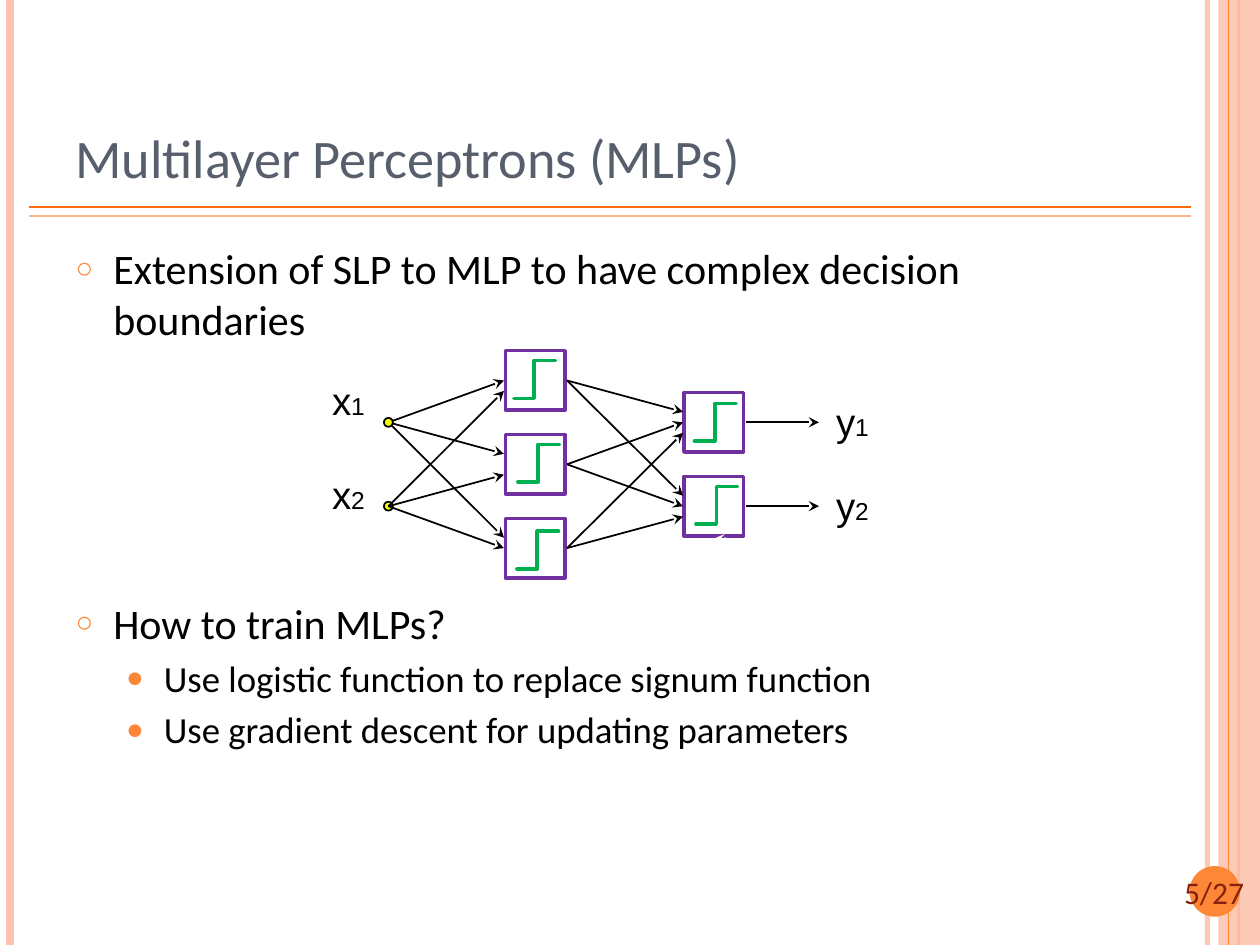
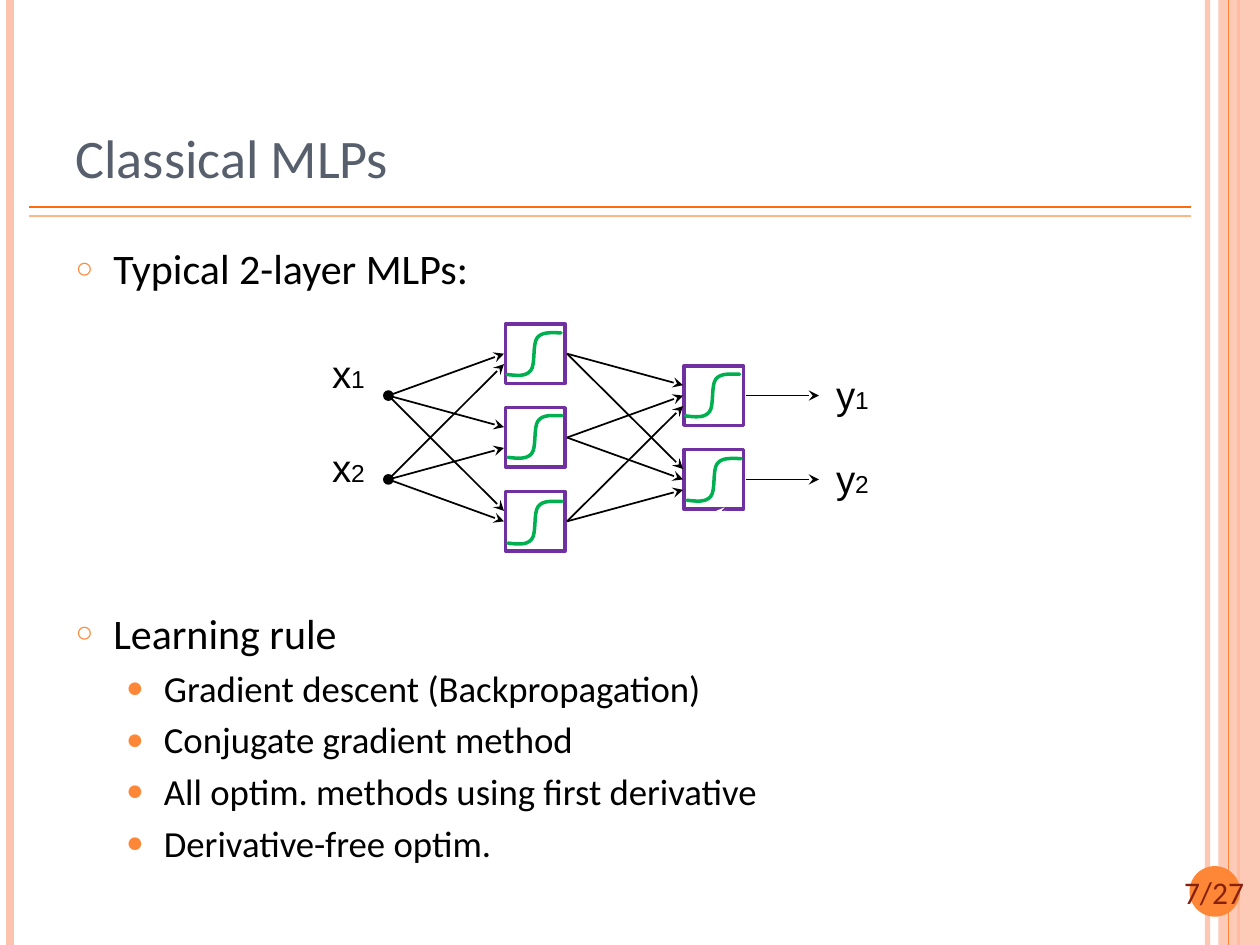
"""Build two slides on multilayer perceptrons with their network diagrams."""
from lxml import etree
from pptx import Presentation
from pptx.dml.color import RGBColor
from pptx.enum.shapes import MSO_CONNECTOR, MSO_SHAPE
from pptx.enum.text import MSO_ANCHOR, MSO_AUTO_SIZE, PP_ALIGN
from pptx.oxml.ns import qn
from pptx.util import Cm, Pt

STRAIGHT = MSO_CONNECTOR.STRAIGHT
RECT, OVAL = MSO_SHAPE.RECTANGLE, MSO_SHAPE.OVAL
LEFT, CENTER = PP_ALIGN.LEFT, PP_ALIGN.CENTER
TOP, BOTTOM = MSO_ANCHOR.TOP, MSO_ANCHOR.BOTTOM
NO_FIT = MSO_AUTO_SIZE.NONE

BLACK = RGBColor(0x00, 0x00, 0x00)
WHITE = RGBColor(0xFF, 0xFF, 0xFF)
YELLOW = RGBColor(0xFA, 0xFD, 0x00)
PEACH = RGBColor(0xFE, 0xC3, 0xAE)
ORANGE = RGBColor(0xFE, 0x86, 0x37)
DEEP_ORANGE = RGBColor(0xFF, 0x6B, 0x0A)
LIGHT_ORANGE = RGBColor(0xFE, 0xB6, 0x87)
BROWN = RGBColor(0x86, 0x21, 0x10)
SLATE = RGBColor(0x57, 0x5F, 0x6D)
PURPLE = RGBColor(0x70, 0x30, 0xA0)
GREEN = RGBColor(0x00, 0xB0, 0x50)

BULLETS = [
    {"char": "○", "pct": 70, "margin": 0.76, "size": 24},
    {"char": "●", "pct": 80, "margin": 1.78, "size": 21},
]

STEP = [(0, 0.76), (0.41, 0.76), (0.41, 0), (0.84, 0)]
SIGMOID = [(0, 0.84), (0.18, 0.86), (0.38, 0.89), (0.48, 0.76), (0.58, 0.64),
           (0.51, 0.23), (0.61, 0.1), (0.71, -0.03), (0.91, 0), (1.09, 0)]
ARC = [(1.69, 1.48), (0.76, 1.48), (0, 0.82), (0, 0)]

NODE, PITCH, PORT = 1.2, 1.69, 0.21
HIDDEN_X, OUTPUT_X, INPUT_X = 10.19, 13.79, 7.83
INPUT_PORTS = [(0, -1, -1), (1, 1, 0)]
LABELS = [("x", "1", 6.43, -1.6), ("x", "2", 6.43, 0.3),
          ("y", "1", 16.59, -1.17), ("y", "2", 16.59, 0.53)]

SLIDES = [
    {"title": "Multilayer Perceptrons (MLPs)", "number": "5/27", "gap": 145,
     "title_width": 20.75, "body_width": 21.23,
     "middle": 9.36, "dot": YELLOW, "curve": STEP, "smooth": False,
     "insets": [(0.17, 0.2), (0.25, 0.2), (0.23, 0.26), (0.21, 0.22), (0.24, 0.2)],
     "body": [(0, "Extension of SLP to MLP to have complex decision boundaries"),
              (0, "How to train MLPs?"),
              (1, "Use logistic function to replace signum function"),
              (1, "Use gradient descent for updating parameters")]},
    {"title": "Classical MLPs", "number": "7/27", "gap": 179.5,
     "title_width": 21.95, "body_width": 20.75,
     "middle": 8.82, "dot": BLACK, "curve": SIGMOID, "smooth": True,
     "insets": [(0.03, 0.18), (0.05, 0.16), (0.05, 0.2), (0.03, 0.17), (0.06, 0.18)],
     "body": [(0, "Typical 2-layer MLPs:"),
              (0, "Learning rule"),
              (1, "Gradient descent (Backpropagation)"),
              (1, "Conjugate gradient method"),
              (1, "All optim. methods using first derivative"),
              (1, "Derivative-free optim.")]},
]


def add_line(s, x1, y1, x2, y2, color=BLACK, width=1, arrow=True):
    line = s.shapes.add_connector(STRAIGHT, Cm(x1), Cm(y1), Cm(x2), Cm(y2))
    line.line.color.rgb = color
    line.line.width = Pt(width)
    if arrow:
        etree.SubElement(line.line._get_or_add_ln(), qn("a:tailEnd"), type="stealth")
    etree.SubElement(line._element.spPr, qn("a:effectLst"))
    return line


def add_curve(s, x, y, offsets, color, smooth):
    points = [(Cm(x + dx), Cm(y + dy)) for dx, dy in offsets]
    builder = s.shapes.build_freeform(*points[0])
    builder.add_line_segments(points[1:], close=False)
    sp = builder.convert_to_shape()
    sp.shadow.inherit = False
    sp.fill.background()
    sp.line.color.rgb = color
    sp.line.width = Pt(2)
    if smooth:
        outline = next(sp._element.iter(qn("a:path")))
        segments = outline.findall(qn("a:lnTo"))
        for k in range(0, len(segments), 3):
            bezier = etree.SubElement(outline, qn("a:cubicBezTo"))
            for segment in segments[k:k + 3]:
                bezier.append(segment[0])
                outline.remove(segment)
    return sp


prs = Presentation()
prs.slide_width, prs.slide_height = Cm(25.4), Cm(19.05)
layout = prs.slide_layouts[1]
slides = [prs.slides.add_slide(layout) for row in SLIDES]

s = slides[0]
right_rule = add_line(s, 24.34, 0, 24.34, 19.05, PEACH, 3, False)
left_rule = add_line(s, 0.21, 0, 0.21, 19.05, PEACH, 4.5, False)
edge_rule = add_line(s, 24.97, 0, 24.97, 19.05, ORANGE, 1.5, False)
band = s.shapes.add_shape(RECT, Cm(24.56), 0, Cm(0.84), Cm(19.05))
band_rule = add_line(s, 24.77, 0, 24.77, 19.05, ORANGE, 0.75, False)
title_rule = add_line(s, 0.59, 4.17, 24.01, 4.17, DEEP_ORANGE, 1, False)
lower_rule = add_line(s, 0.59, 4.36, 24.01, 4.36, LIGHT_ORANGE, 1, False)
badge = s.shapes.add_shape(OVAL, Cm(23.98), Cm(17.46), Cm(1.02), Cm(1.02))
for sp, color in ((band, PEACH), (badge, ORANGE)):
    sp.shadow.inherit = False
    sp.fill.solid()
    sp.fill.fore_color.rgb = color
    sp.line.fill.background()
for sp, percent in ((right_rule, 93), (band, 87)):
    clr = next(sp._element.spPr.iter(qn("a:srgbClr")))
    etree.SubElement(clr, qn("a:alpha"), val=str(percent * 1000))
shared = [right_rule, left_rule, edge_rule, band, band_rule, title_rule, lower_rule, badge]
for i, sp in enumerate(shared):
    next(sp._element.iter(qn("p:cNvPr"))).set("id", str(20 + i))
    layout.shapes._spTree.append(sp._element)

for s, row in zip(slides, SLIDES):
    number = s.shapes.add_textbox(Cm(23.55), Cm(17.48), Cm(1.85), Cm(1.02))
    tf = number.text_frame
    tf.margin_left = tf.margin_right = 0
    tf.word_wrap = True
    p = tf.paragraphs[0]
    p.text = row["number"]
    p.alignment = CENTER
    font = p.runs[0].font
    font.name, font.size, font.color.rgb = "Calibri", Pt(18), BROWN

    title = s.shapes.title
    title.left, title.top = Cm(1.27), Cm(0.76)
    title.width, title.height = Cm(row["title_width"]), Cm(3.18)
    tf = title.text_frame
    tf.text = row["title"]
    tf.vertical_anchor = BOTTOM
    tf.auto_size = NO_FIT
    p = tf.paragraphs[0]
    p.alignment = LEFT
    font = p.runs[0].font
    font.name, font.size, font.color.rgb = "Calibri", Pt(31), SLATE

    body = s.placeholders[1]
    body.left, body.top = Cm(1.27), Cm(4.77)
    body.width, body.height = Cm(row["body_width"]), Cm(13.23)
    tf = body.text_frame
    tf.vertical_anchor = TOP
    tf.auto_size = NO_FIT
    tf.text = "\n".join(text for level, text in row["body"])
    for i, (p, (level, text)) in enumerate(zip(tf.paragraphs, row["body"])):
        bullet = BULLETS[level]
        p.level = level
        p.space_before = Pt((0, row["gap"])[i] if i < 2 else 4.3)
        pPr = p._p.get_or_add_pPr()
        pPr.set("marL", str(Cm(bullet["margin"])))
        pPr.set("indent", str(Cm(-0.76)))
        clr = etree.SubElement(pPr, qn("a:buClr"))
        etree.SubElement(clr, qn("a:srgbClr"), val=str(ORANGE))
        etree.SubElement(pPr, qn("a:buSzPct"), val=str(bullet["pct"] * 1000))
        etree.SubElement(pPr, qn("a:buFont"), typeface="Arial")
        etree.SubElement(pPr, qn("a:buChar"), char=bullet["char"])
        font = p.runs[0].font
        font.name, font.size, font.color.rgb = "Calibri", Pt(bullet["size"]), BLACK

    middle = row["middle"]
    hidden = [middle + (j - 1) * PITCH for j in range(3)]
    outer = [middle + (i - 0.5) * PITCH for i in range(2)]

    for letter, index, x, dy in LABELS:
        label = s.shapes.add_textbox(Cm(x), Cm(middle + dy), Cm(1.19), Cm(0.89))
        tf = label.text_frame
        tf.word_wrap = False
        p = tf.paragraphs[0]
        p.alignment = CENTER
        p.line_spacing = 0.65
        for text, size in ((letter, 22), (index, 14)):
            r = p.add_run()
            r.text = text
            r.font.name, r.font.size, r.font.color.rgb = "Arial", Pt(size), BLACK

    nodes = [(HIDDEN_X, y) for y in hidden] + [(OUTPUT_X, y) for y in outer]
    for x, y in nodes:
        box = s.shapes.add_shape(RECT, Cm(x), Cm(y - NODE / 2), Cm(NODE), Cm(NODE))
        box.shadow.inherit = False
        box.fill.background()
        box.line.color.rgb = PURPLE
        box.line.width = Pt(2)

    for i, y in enumerate(outer):
        for j, hidden_y in enumerate(hidden):
            add_line(s, INPUT_X, y, 10.16, hidden_y + INPUT_PORTS[i][j] * PORT)
            add_line(s, 11.43, hidden_y, 13.77, y + (j - 1) * PORT)
        add_line(s, 15.04, y, 16.51, y)
        if i == 0:
            for dot_y in outer:
                dot = s.shapes.add_shape(OVAL, Cm(INPUT_X - 0.09), Cm(dot_y - 0.09),
                                         Cm(0.18), Cm(0.18))
                dot.shadow.inherit = False
                dot.fill.solid()
                dot.fill.fore_color.rgb = row["dot"]
                dot.line.color.rgb = BLACK
                dot.line.width = Pt(1)

    arc = add_curve(s, 14.39, middle + 1.5, ARC, WHITE, True)
    arc.rotation = 180
    etree.SubElement(arc.line._get_or_add_ln(), qn("a:headEnd"), type="stealth")

    for (x, y), (dx, dy) in zip(nodes, row["insets"]):
        curve = add_curve(s, x + dx, y - NODE / 2 + dy, row["curve"], GREEN, row["smooth"])
        curve.line._get_or_add_ln().set("cap", "rnd")

prs.save("out.pptx")
